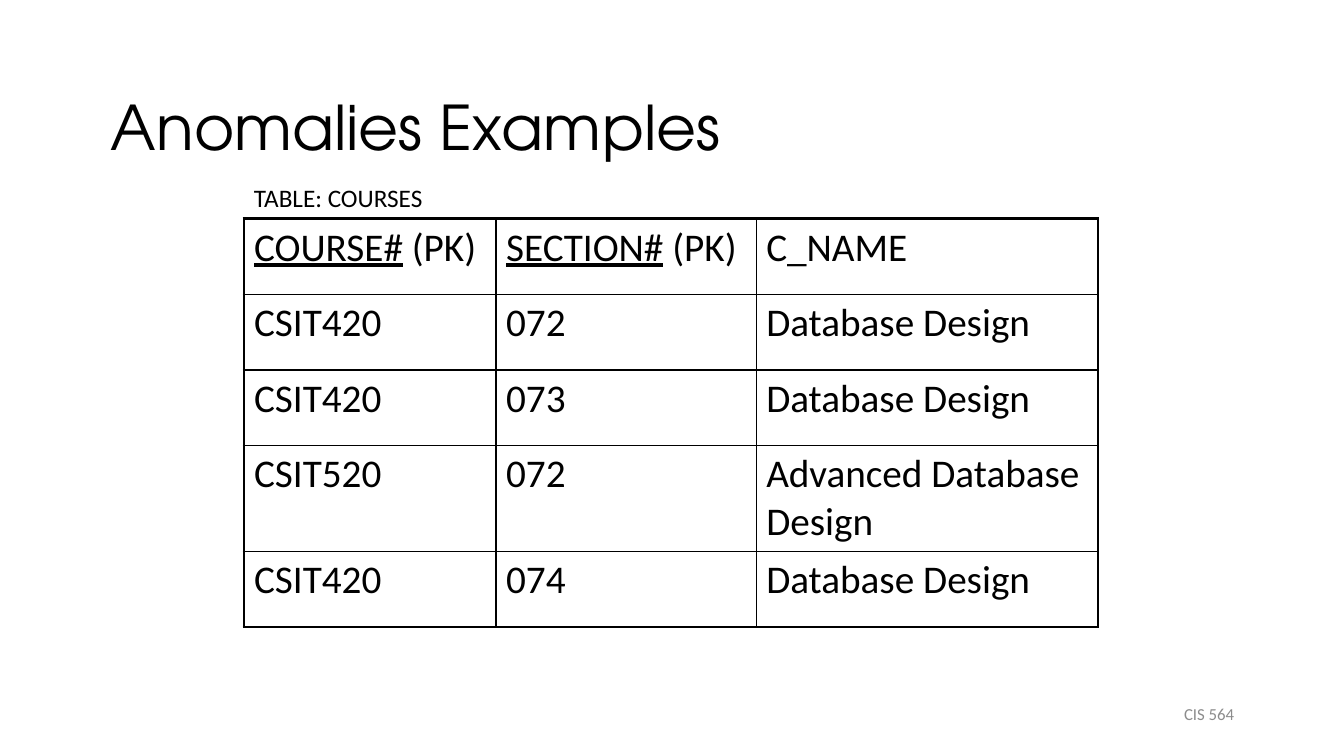
from dataclasses import dataclass

from lxml import etree
from pptx import Presentation
from pptx import util as u
from pptx.dml.color import RGBColor
from pptx.enum import text
from pptx.oxml.ns import qn


@dataclass(frozen=True)
class Theme:
    ink: str = "000000"
    muted: str = "8C8C8C"
    heading: str = "TeX Gyre Adventor"
    body: str = "Calibri"
    title: int = 44
    cell: int = 28
    caption: int = 18
    footer: int = 12
    thick: float = 2.25
    thin: float = 1


theme = Theme()


def add_run(p, words, size, name=theme.body, color=theme.ink, underline=False):
    r = p.add_run()
    r.text = words
    style = {"size": u.Pt(size), "name": name, "bold": False, "underline": underline}
    for key, value in style.items():
        setattr(r.font, key, value)
    r.font.color.rgb = RGBColor.from_string(color)


def set_border(cell, side, width):
    ln = etree.SubElement(cell._tc.get_or_add_tcPr(), qn(f"a:ln{side}"), w=str(u.Pt(width)))
    fill = etree.SubElement(ln, qn("a:solidFill"))
    etree.SubElement(fill, qn("a:srgbClr"), val=theme.ink)


prs = Presentation()
prs.slide_width = u.Inches(13.33)
prs.slide_height = u.Inches(7.5)
s = prs.slides.add_slide(prs.slide_layouts[5])

title = s.shapes.title
box = {"left": 1, "top": 0.67, "width": 11.33, "height": 1.25}
for key, value in box.items():
    setattr(title, key, u.Inches(value))
title.text_frame.vertical_anchor = text.MSO_ANCHOR.MIDDLE
p = title.text_frame.paragraphs[0]
p.alignment = text.PP_ALIGN.LEFT
p.line_spacing = 0.9
add_run(p, "Anomalies Examples", theme.title, theme.heading)

courses = [
    ("COURSE# (PK)", "SECTION# (PK)", "C_NAME"),
    ("CSIT420", "072", "Database Design"),
    ("CSIT420", "073", "Database Design"),
    ("CSIT520", "072", "Advanced Database Design"),
    ("CSIT420", "074", "Database Design"),
]
widths = [2.5, 2.58, 3.39]
row_height = 0.75
table = s.shapes.add_table(
    len(courses), len(widths), u.Inches(2.42), u.Inches(2.17),
    u.Inches(sum(widths)), u.Inches(row_height * len(courses)),
).table
table.first_row = False
table.horz_banding = False
for column, width in zip(table.columns, widths):
    column.width = u.Inches(width)

for i, course in enumerate(courses):
    table.rows[i].height = u.Inches(row_height)
    for j, value in enumerate(course):
        cell = table.cell(i, j)
        p = cell.text_frame.paragraphs[0]
        before = etree.SubElement(p._p.get_or_add_pPr(), qn("a:spcBef"))
        etree.SubElement(before, qn("a:spcPct"), val="20000")
        key, mark, rest = value.partition(" (PK)")
        add_run(p, key if mark else value, theme.cell, underline=bool(mark))
        if mark:
            add_run(p, mark, theme.cell)
        outer = {"L": j == 0, "R": j == len(widths) - 1, "T": i == 0, "B": False}
        for side, is_outer in outer.items():
            set_border(cell, side, theme.thick if is_outer else theme.thin)
        cell.fill.background()

labels = [
    ("CIS 564", (9.56, 6.83, 2.78, 0.5), theme.footer, theme.muted,
     text.PP_ALIGN.RIGHT, text.MSO_ANCHOR.MIDDLE),
    ("TABLE: COURSES", (2.42, 1.76, 5, 0.4), theme.caption, theme.ink,
     text.PP_ALIGN.LEFT, text.MSO_ANCHOR.TOP),
]
for words, place, size, color, align, anchor in labels:
    tf = s.shapes.add_textbox(*map(u.Inches, place)).text_frame
    tf.word_wrap = True
    tf.vertical_anchor = anchor
    p = tf.paragraphs[0]
    p.alignment = align
    add_run(p, words, size, color=color)

prs.save("out.pptx")
